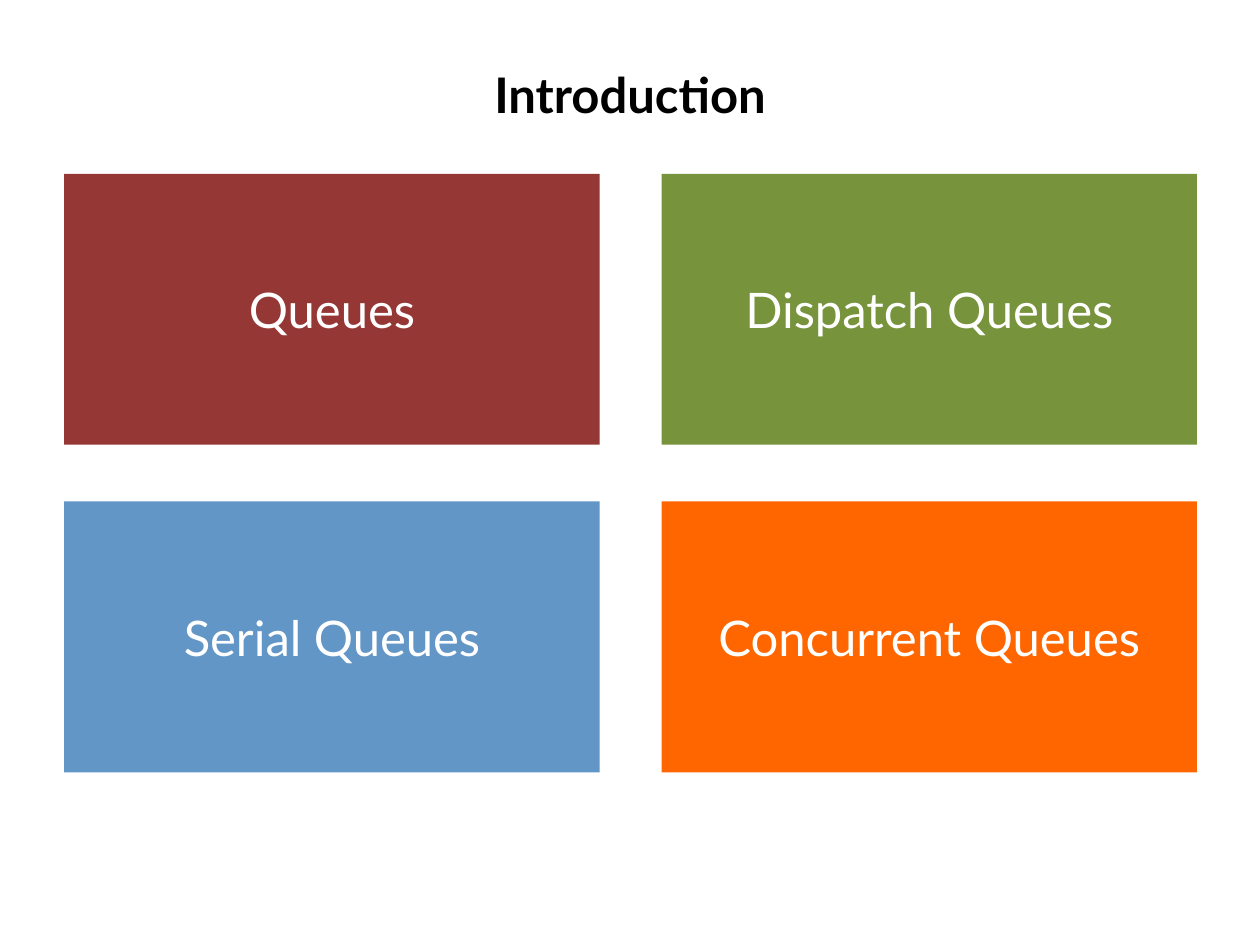
from pptx import Presentation
from pptx.dml.color import RGBColor
from pptx.enum.shapes import MSO_SHAPE
from pptx.enum.text import MSO_ANCHOR, PP_ALIGN
from pptx.util import Inches, Pt

BLACK = RGBColor(0x00, 0x00, 0x00)
WHITE = RGBColor(0xFF, 0xFF, 0xFF)
RED = RGBColor(0x95, 0x37, 0x35)
GREEN = RGBColor(0x77, 0x93, 0x3C)
BLUE = RGBColor(0x62, 0x96, 0xC7)
ORANGE = RGBColor(0xFF, 0x66, 0x00)

LEFT, TOP = 0.51, 1.38
WIDTH, HEIGHT = 4.25, 2.15
STEP_X, STEP_Y = 4.74, 2.6


def write(sp, text, color, bold, wrap):
    tf = sp.text_frame
    tf.word_wrap = wrap
    tf.vertical_anchor = MSO_ANCHOR.MIDDLE
    p = tf.paragraphs[0]
    p.text = text
    p.alignment = PP_ALIGN.CENTER
    p.font.name = "Lato"
    p.font.size = Pt(28)
    p.font.bold = bold
    p.font.color.rgb = color


prs = Presentation()
prs.slide_width = Inches(10)
prs.slide_height = Inches(7.5)
s = prs.slides.add_slide(prs.slide_layouts[6])

title = s.shapes.add_textbox(Inches(0.5), Inches(0.33), Inches(9), Inches(0.83))
write(title, "Introduction", BLACK, True, True)

tiles = [
    ("Queues", RED),
    ("Dispatch Queues", GREEN),
    ("Serial Queues", BLUE),
    ("Concurrent Queues", ORANGE),
]
for i, (text, color) in enumerate(tiles):
    row, col = divmod(i, 2)
    sp = s.shapes.add_shape(
        MSO_SHAPE.RECTANGLE,
        Inches(LEFT + col * STEP_X),
        Inches(TOP + row * STEP_Y),
        Inches(WIDTH),
        Inches(HEIGHT),
    )
    sp.shadow.inherit = False
    sp.fill.solid()
    sp.fill.fore_color.rgb = color
    sp.line.fill.background()
    write(sp, text, WHITE, False, False)

prs.save("out.pptx")
